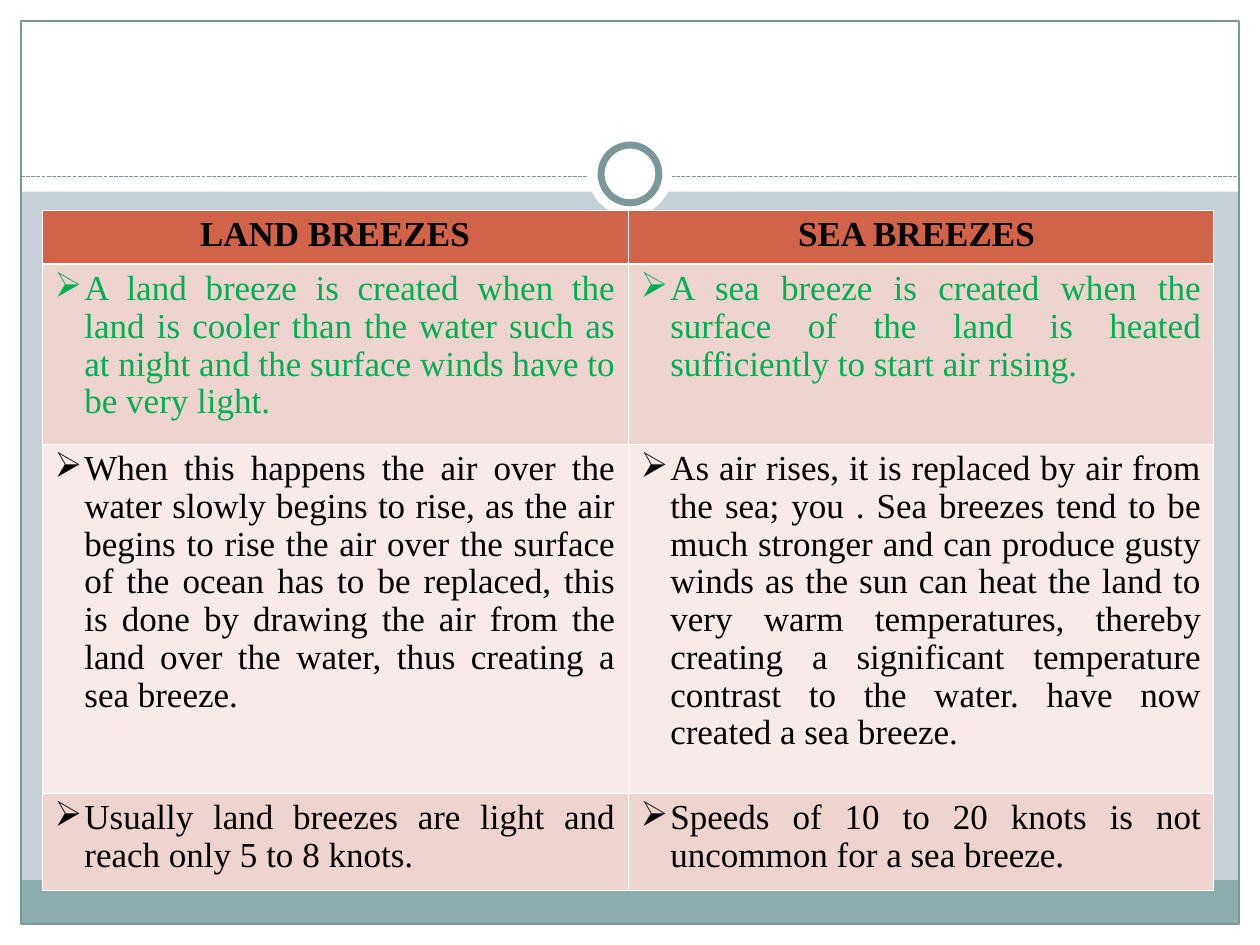
from lxml import etree
from pptx import Presentation
from pptx.dml.color import RGBColor
from pptx.enum import dml, shapes, text
from pptx.oxml import ns
from pptx.util import Pt

COLORS = {
    "backdrop": "C5D1D7",
    "white": "FFFFFF",
    "black": "000000",
    "teal": "8CADAE",
    "outline": "7B9899",
    "header": "D16349",
    "band_dark": "EED3CF",
    "band_light": "F7EAE9",
    "green": "00B050",
}
FONT = "Times New Roman"
WIDTH, HEIGHT = 720, 540
MARGIN = 12
CENTER = WIDTH / 2
RULE_Y = 100.8
RING_Y = 99.4

HEADINGS = ["LAND BREEZES", "SEA BREEZES "]
# Each row: height, fill, text colour, land text, sea text
ROWS = [
    (103, "band_dark", "green",
     "A land breeze is created when the land is cooler than the water such as "
     "at night and the surface winds have to be very light. ",
     "A sea breeze is created when the surface of the land is heated "
     "sufficiently to start air rising. "),
    (199.4, "band_light", "black",
     "When this happens the air over the water slowly begins to rise, as the "
     "air begins to rise the air over the surface of the ocean has to be "
     "replaced, this is done by drawing the air from the land over the water, "
     "thus creating a sea breeze.",
     "As air rises, it is replaced by air from the sea; you . Sea breezes tend "
     "to be much stronger and can produce gusty winds as the sun can heat the "
     "land to very warm temperatures, thereby creating a significant "
     "temperature contrast to the water. have now created a sea breeze. "),
    (55.4, "band_dark", "black",
     "Usually land breezes are light and reach only 5 to 8 knots.",
     "Speeds of 10 to 20 knots is not uncommon for a sea breeze."),
]


def color(name):
    return RGBColor.from_string(COLORS[name])


def add_element(parent, tag, **attributes):
    return etree.SubElement(parent, ns.qn(tag), attributes)


def add_block(page, kind, left, top, width, height, fill=None, line=None, weight=0.75):
    block = page.shapes.add_shape(kind, Pt(left), Pt(top), Pt(width), Pt(height))
    block.shadow.inherit = False
    if fill:
        block.fill.solid()
        block.fill.fore_color.rgb = color(fill)
    else:
        block.fill.background()
    if line:
        block.line.color.rgb = color(line)
        block.line.width = Pt(weight)
    else:
        block.line.fill.background()


def add_circle(page, diameter, **style):
    radius = diameter / 2
    add_block(page, shapes.MSO_SHAPE.OVAL, CENTER - radius, RING_Y - radius,
              diameter, diameter, **style)


def add_dashed_rule(page):
    rule = page.shapes.add_connector(shapes.MSO_CONNECTOR.STRAIGHT, Pt(MARGIN), Pt(RULE_Y),
                                     Pt(WIDTH - MARGIN), Pt(RULE_Y))
    rule.line.color.rgb = color("outline")
    rule.line.width = Pt(0.75)
    rule.line.dash_style = dml.MSO_LINE.SQUARE_DOT
    add_element(rule._element.spPr, "a:effectLst")


def set_borders(cell, top, bottom):
    properties = cell._tc.get_or_add_tcPr()
    for side, weight in (("L", 0.45), ("R", 0.45), ("T", top), ("B", bottom)):
        border = add_element(properties, f"a:ln{side}", w=str(Pt(weight)))
        fill = add_element(border, "a:solidFill")
        add_element(fill, "a:srgbClr", val=COLORS["white"])


def add_bullet(para, ink):
    properties = para._p.get_or_add_pPr()
    properties.set("marL", str(Pt(17)))
    properties.set("indent", str(Pt(-17)))
    bullet_color = add_element(properties, "a:buClr")
    add_element(bullet_color, "a:srgbClr", val=COLORS[ink])
    add_element(properties, "a:buChar", char="➢")


def fill_cell(cell, words, fill, ink, heading=False, top=0.45, bottom=0.45):
    set_borders(cell, top, bottom)
    cell.fill.solid()
    cell.fill.fore_color.rgb = color(fill)
    cell.text_frame.text = words
    para = cell.text_frame.paragraphs[0]
    para.alignment = text.PP_ALIGN.CENTER if heading else text.PP_ALIGN.JUSTIFY
    para.line_spacing = 0.97
    if not heading:
        add_bullet(para, ink)
    span = para.runs[0]
    span.font.name = FONT
    span.font.size = Pt(20)
    span.font.bold = heading
    span.font.color.rgb = color(ink)


def add_comparison(page):
    heights = [31] + [row[0] for row in ROWS]
    frame = page.shapes.add_table(len(heights), 2, Pt(24), Pt(120), Pt(669.6), Pt(sum(heights)))
    table = frame.table
    for row, height in zip(table.rows, heights):
        row.height = Pt(height)
    for column, heading in enumerate(HEADINGS):
        fill_cell(table.cell(0, column), heading, "header", "black", heading=True, bottom=1.47)
    for index, (_, fill, ink, *entries) in enumerate(ROWS, 1):
        for column, words in enumerate(entries):
            fill_cell(table.cell(index, column), words, fill, ink,
                      top=1.47 if index == 1 else 0.45)


def main():
    deck = Presentation()
    deck.slide_width, deck.slide_height = Pt(WIDTH), Pt(HEIGHT)
    page = deck.slides.add_slide(deck.slide_layouts[6])
    page.background.fill.solid()
    page.background.fill.fore_color.rgb = color("backdrop")

    # White edges and title area
    rectangle = shapes.MSO_SHAPE.RECTANGLE
    for area in ((0, HEIGHT - MARGIN, WIDTH, MARGIN), (0, 0, WIDTH, 109.5),
                 (0, 0, MARGIN, HEIGHT), (WIDTH - MARGIN, 0, MARGIN, HEIGHT)):
        add_block(page, rectangle, *area, fill="white")

    # Footer band and frame
    inner_width = WIDTH - 2 * MARGIN
    add_block(page, rectangle, MARGIN, 503, inner_width, 25, fill="teal")
    add_block(page, rectangle, MARGIN, MARGIN, inner_width, HEIGHT - 2 * MARGIN, line="outline")

    # Dashed rule with ring
    add_dashed_rule(page)
    add_circle(page, 48, fill="white")
    add_circle(page, 33, fill="white", line="outline", weight=4)

    # Land and sea breeze table
    add_comparison(page)
    deck.save("out.pptx")


if __name__ == "__main__":
    main()
